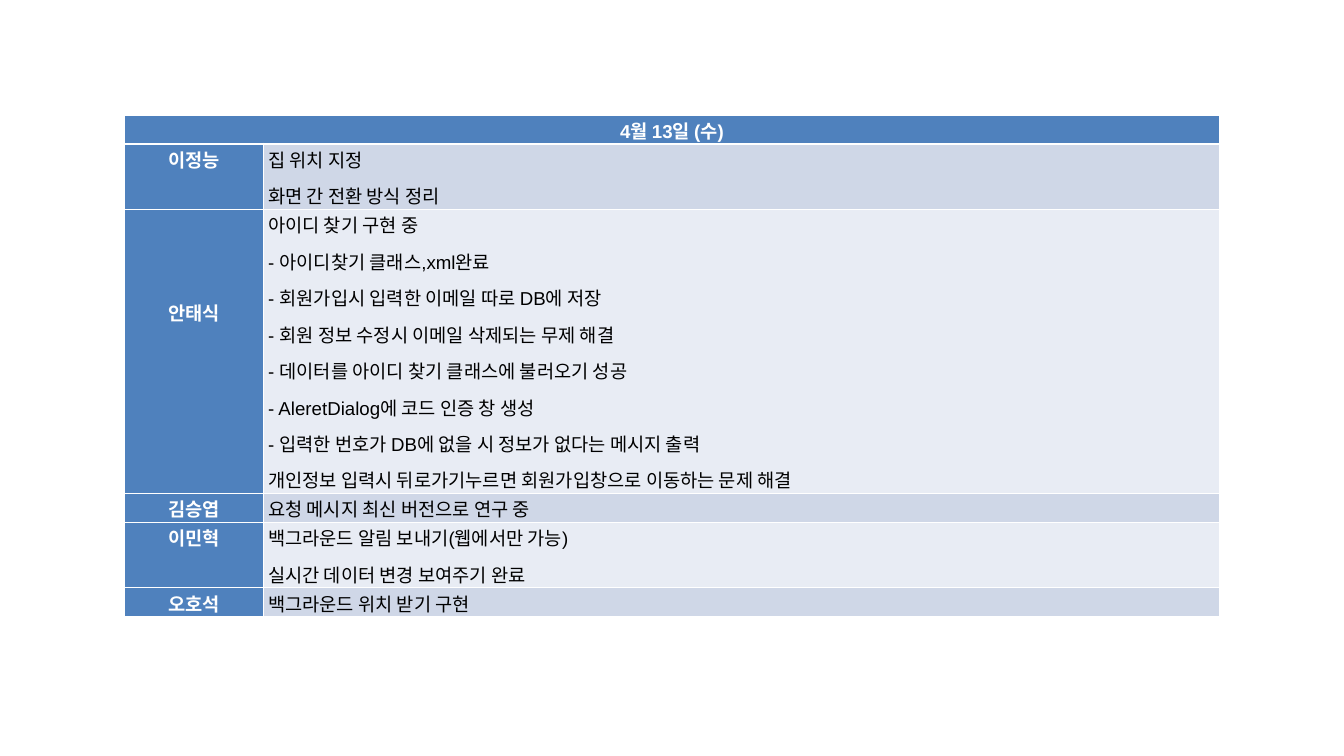
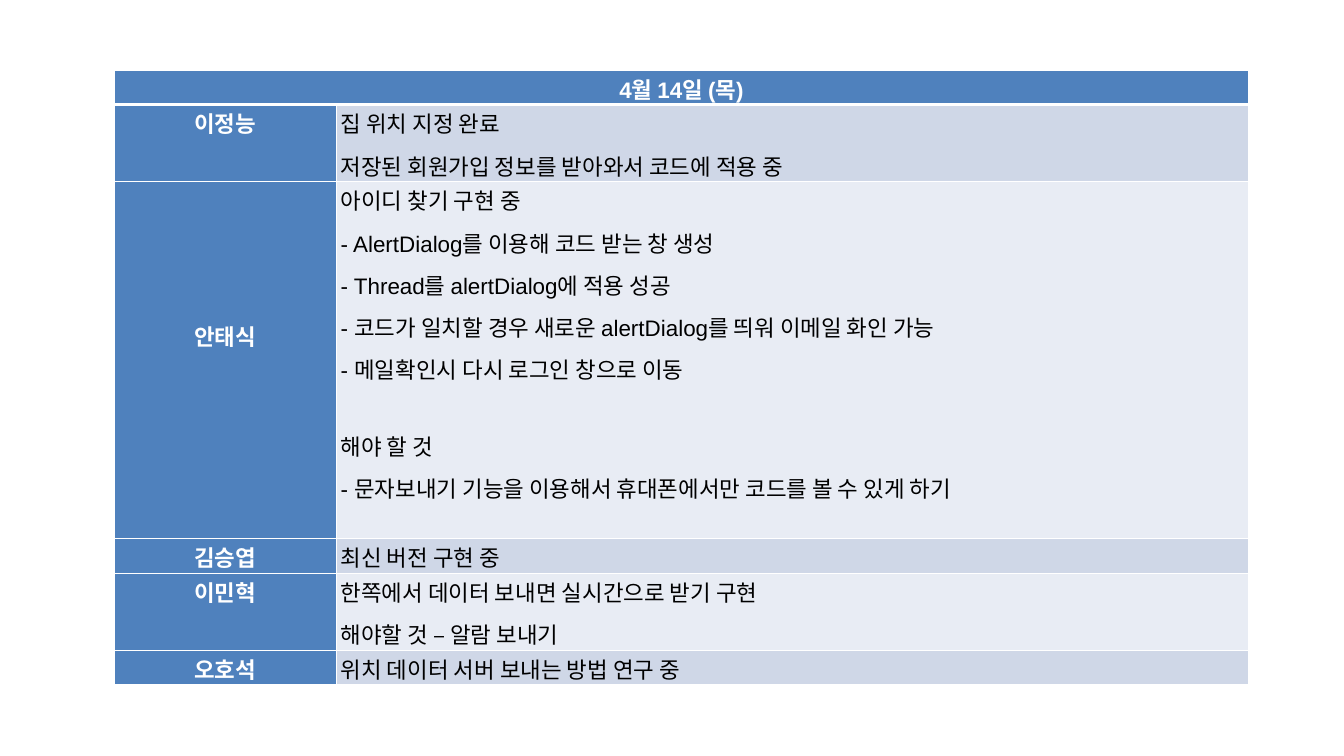
from lxml import etree
from pptx import Presentation
from pptx.dml.color import RGBColor
from pptx.enum.text import PP_ALIGN as Align
from pptx.oxml.ns import qn
from pptx.util import Pt

# Shared style: 100 px to the inch
PX = 9144
WHITE, BLACK, BLUE = "FFFFFF", "000000", "4F81BD"
BANDS = ["CFD7E7", "E8ECF4"]
LATIN, KOREAN = "Arial", "Noto Sans CJK KR"
SIDE_MARGIN = 7
PARAGRAPH_GAP = 8
SECTION_GAP = 45


def px(length):
    return length * PX


def color(hex_text):
    return RGBColor.from_string(hex_text)


def set_borders(cell, bottom_width=1):
    """White rules on all four sides of a cell."""
    properties = cell._tc.get_or_add_tcPr()
    for side in ("lnL", "lnR", "lnT", "lnB"):
        width = bottom_width if side == "lnB" else 1
        line = etree.SubElement(properties, qn(f"a:{side}"), w=str(Pt(width)))
        fill = etree.SubElement(line, qn("a:solidFill"))
        etree.SubElement(fill, qn("a:srgbClr"), val=WHITE)


def style_cell(cell, fill, bottom_width=1, top=0, bottom=0):
    set_borders(cell, bottom_width)
    cell.fill.solid()
    cell.fill.fore_color.rgb = color(fill)
    cell.margin_left = cell.margin_right = px(SIDE_MARGIN)
    cell.margin_top, cell.margin_bottom = px(top), px(bottom)


def add_lines(cell, lines, size, align, ink, bold, latin=LATIN, section=None):
    """One paragraph a line; the line named by section starts a new part."""
    frame = cell.text_frame
    for index, line in enumerate(lines):
        para = frame.add_paragraph() if index else frame.paragraphs[0]
        para.alignment = align
        para.line_spacing = 1.07
        if index:
            para.space_before = Pt(SECTION_GAP if line == section else PARAGRAPH_GAP)
        span = para.add_run()
        span.text = line
        span.font.size = Pt(size)
        span.font.bold = bold
        span.font.name = latin
        span.font.color.rgb = color(ink)
        east_asian = etree.Element(qn("a:ea"), typeface=KOREAN)
        span.font._element.find(qn("a:latin")).addnext(east_asian)


def add_report(deck, date, left, top, columns, heights, size, members):
    """A daily report: a date header, then one row for each member."""
    page = deck.slides.add_slide(deck.slide_layouts[6])
    table = page.shapes.add_table(len(heights), 2, px(left), px(top),
                                  px(sum(columns)), px(sum(heights))).table
    table.horz_banding = False
    for column, width in zip(table.columns, columns):
        column.width = px(width)
    for row, height in zip(table.rows, heights):
        row.height = px(height)

    # Date header
    for column in range(2):
        style_cell(table.cell(0, column), BLUE, bottom_width=3)
    header = table.cell(0, 0)
    header.merge(table.cell(0, 1))
    add_lines(header, [date], size, Align.CENTER, WHITE, True)

    # Member rows
    for index, member in enumerate(members):
        name_cell, work_cell = table.cell(index + 1, 0), table.cell(index + 1, 1)
        style_cell(name_cell, BLUE, top=member.get("name_top", 0))
        add_lines(name_cell, [member["name"]], size, Align.CENTER, WHITE, True)
        style_cell(work_cell, BANDS[index % 2], bottom=member.get("work_bottom", 0))
        add_lines(work_cell, member["work"], size, Align.JUSTIFY, BLACK, False,
                  member.get("latin", LATIN), member.get("section"))


APRIL_13 = [
    {"name": "이정능", "work": ["집 위치 지정", "화면 간 전환 방식 정리"]},
    {"name": "안태식", "name_top": 131, "work": [
        "아이디 찾기 구현 중",
        "- 아이디찾기 클래스,xml완료",
        "- 회원가입시 입력한 이메일 따로 DB에 저장",
        "- 회원 정보 수정시 이메일 삭제되는 무제 해결",
        "- 데이터를 아이디 찾기 클래스에 불러오기 성공",
        "- AleretDialog에 코드 인증 창 생성",
        "- 입력한 번호가 DB에 없을 시 정보가 없다는 메시지 출력",
        "개인정보 입력시 뒤로가기누르면 회원가입창으로 이동하는 문제 해결"]},
    {"name": "김승엽", "work": ["요청 메시지 최신 버전으로 연구 중"], "latin": KOREAN},
    {"name": "이민혁", "work": ["백그라운드 알림 보내기(웹에서만 가능)",
                             "실시간 데이터 변경 보여주기 완료"]},
    {"name": "오호석", "work": ["백그라운드 위치 받기 구현"]},
]

APRIL_14 = [
    {"name": "이정능", "work": ["집 위치 지정 완료",
                             "저장된 회원가입 정보를 받아와서 코드에 적용 중"]},
    {"name": "안태식", "name_top": 202, "work_bottom": 51, "section": "해야 할 것", "work": [
        "아이디 찾기 구현 중",
        "- AlertDialog를 이용해 코드 받는 창 생성",
        "- Thread를 alertDialog에 적용 성공",
        "- 코드가 일치할 경우 새로운 alertDialog를 띄워 이메일 화인 가능",
        "- 메일확인시 다시 로그인 창으로 이동",
        "해야 할 것",
        "- 문자보내기 기능을 이용해서 휴대폰에서만 코드를 볼 수 있게 하기"]},
    {"name": "김승엽", "work": ["최신 버전 구현 중"], "latin": KOREAN},
    {"name": "이민혁", "work": ["한쪽에서 데이터 보내면 실시간으로 받기 구현",
                             "해야할 것 – 알람 보내기"]},
    {"name": "오호석", "work": ["위치 데이터 서버 보내는 방법 연구 중"], "latin": KOREAN},
]


def main():
    deck = Presentation()
    deck.slide_width, deck.slide_height = px(2000), px(1125)
    add_report(deck, "4월 13일 (수)", 185, 171, [207, 1423],
               [28, 85, 381, 36, 85, 36], 20, APRIL_13)
    add_report(deck, "4월 14일 (목)", 170, 104, [330, 1358],
               [28, 77, 418, 28, 77, 28], 24, APRIL_14)
    deck.save("out.pptx")


if __name__ == "__main__":
    main()
